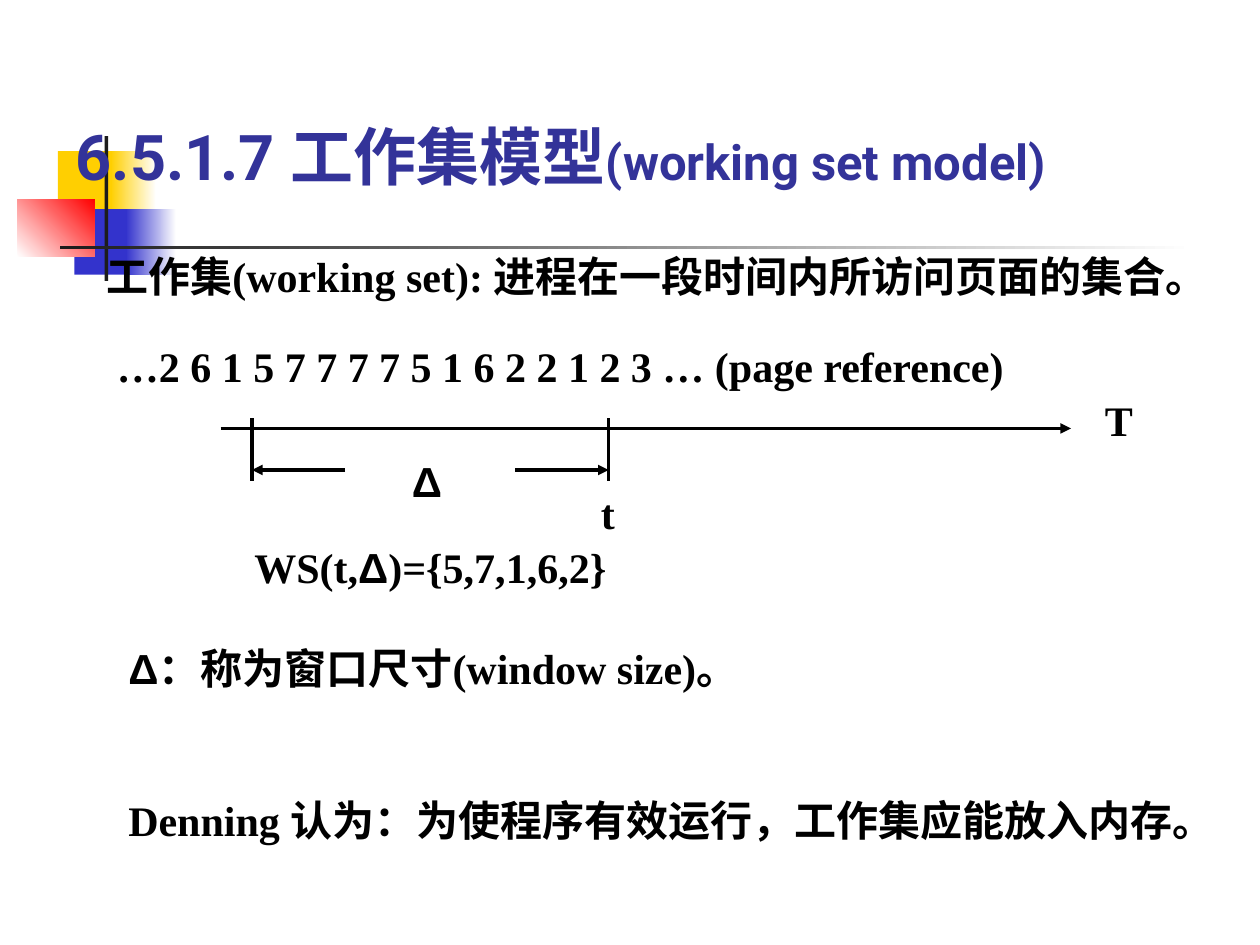
"""Build the slide on the working set model."""
from lxml.etree import SubElement
from pptx import Presentation
from pptx.dml.color import RGBColor
from pptx.enum.shapes import MSO_CONNECTOR, MSO_SHAPE
from pptx.enum.text import MSO_ANCHOR, MSO_AUTO_SIZE, PP_ALIGN
from pptx.oxml.ns import qn
from pptx.util import Inches, Pt

BLACK = RGBColor(0x00, 0x00, 0x00)
WHITE = RGBColor(0xFF, 0xFF, 0xFF)
NAVY = RGBColor(0x33, 0x33, 0x99)
BLUE = RGBColor(0x33, 0x33, 0xCC)
YELLOW = RGBColor(0xFF, 0xCF, 0x01)
RED = RGBColor(0xFF, 0x00, 0x00)
DARK = RGBColor(0x1C, 0x1C, 0x1C)

SERIF, SANS, HEAD = "Times New Roman", "Arial", "Roboto"

TITLE_BOX = (0.5, 0.33, 8.92, 1.25)
TITLE = [("6.5.1.7 工作集模型", HEAD, 36), ("(working set model)", HEAD, 28)]

DECOR = [
    ((0.46, 1.2, 0.48, 0.52), YELLOW, None),
    ((0.88, 1.2, 0.36, 0.52), YELLOW, 180),
    ((0.59, 1.66, 0.46, 0.52), BLUE, None),
    ((1, 1.66, 0.4, 0.52), BLUE, 180),
    ((0.14, 1.58, 0.61, 0.46), RED, 45),
    ((0.83, 1.08, 0.03, 1.15), DARK, None),
    ((0.48, 1.95, 9, 0.03), DARK, 180),
]

TEXTS = [
    ((0.67, 1.94, 8.83, 0.9),
     [[(" 工作集(working set): 进程在一段时间内所访问页面的集合。", SERIF, 24)]]),
    ((0.83, 2.65, 8.42, 0.5),
     [[("…2 6 1 5 7 7 7 7 5 1 6 2 2 1 2 3 … (page reference)", SERIF, 24)]]),
    ((8.67, 3.08, 0.58, 0.5), [[("T", SERIF, 24)]]),
    ((3.17, 3.57, 0.58, 0.5), [[("Δ", SANS, 24)]]),
    ((4.67, 3.82, 0.5, 0.5), [[("t", SERIF, 24)]]),
    ((1.92, 4.25, 3, 0.5),
     [[("WS(t,", SERIF, 24), ("Δ", SANS, 24), (")={5,7,1,6,2}", SERIF, 24)]]),
    ((0.92, 5.05, 8.73, 1.72),
     [[("Δ", SANS, 24), ("：称为窗口尺寸(window size)。", SERIF, 24)],
      [("Denning 认为：为使程序有效运行，工作集应能放入内存。", SERIF, 24)]]),
]
PARAGRAPH_GAP = 58

AXIS_Y, WINDOW_Y = 3.4, 3.73
TICK_TOP, TICK_BOTTOM = 3.32, 3.82
WINDOW_START, WINDOW_END, ARROW_LENGTH = 2, 4.83, 0.74
LINES = [
    (1.75, AXIS_Y, 8.5, AXIS_Y, 2, True),
    (WINDOW_START + ARROW_LENGTH, WINDOW_Y, WINDOW_START, WINDOW_Y, 2, True),
    (WINDOW_END - ARROW_LENGTH, WINDOW_Y, WINDOW_END, WINDOW_Y, 2, True),
] + [(x, TICK_TOP, x, TICK_BOTTOM, 1.75, False) for x in (WINDOW_START, WINDOW_END)]


def add_runs(p, runs, color):
    for text, font, size in runs:
        r = p.add_run()
        r.text = text
        r.font.name = font
        r.font.size = Pt(size)
        r.font.bold = True
        r.font.color.rgb = color


def add_block(s, box, color, angle):
    sp = s.shapes.add_shape(MSO_SHAPE.RECTANGLE, *map(Inches, box))
    sp.shadow.inherit = False
    sp.line.fill.background()
    if angle is None:
        sp.fill.solid()
        sp.fill.fore_color.rgb = color
    else:
        sp.fill.gradient()
        sp.fill.gradient_angle = angle
        for stop, rgb in zip(sp.fill.gradient_stops, (WHITE, color)):
            stop.color.rgb = rgb


def add_title(s):
    sp = s.shapes.title
    sp.left, sp.top, sp.width, sp.height = map(Inches, TITLE_BOX)
    tf = sp.text_frame
    tf.auto_size = MSO_AUTO_SIZE.NONE
    tf.vertical_anchor = MSO_ANCHOR.BOTTOM
    p = tf.paragraphs[0]
    p.alignment = PP_ALIGN.LEFT
    add_runs(p, TITLE, NAVY)
    s.shapes._spTree.append(sp._element)


def add_text(s, box, paragraphs):
    tf = s.shapes.add_textbox(*map(Inches, box)).text_frame
    tf.word_wrap = True
    for i, runs in enumerate(paragraphs):
        p = tf.add_paragraph() if i else tf.paragraphs[0]
        if i:
            p.space_before = Pt(PARAGRAPH_GAP)
        add_runs(p, runs, BLACK)


def add_line(s, x1, y1, x2, y2, width, arrow):
    ends = map(Inches, (x1, y1, x2, y2))
    line = s.shapes.add_connector(MSO_CONNECTOR.STRAIGHT, *ends)
    line.line.color.rgb = BLACK
    line.line.width = Pt(width)
    if arrow:
        SubElement(line.line._get_or_add_ln(), qn("a:tailEnd"), type="triangle")
    SubElement(line._element.spPr, qn("a:effectLst"))


def main():
    prs = Presentation()
    prs.slide_width, prs.slide_height = Inches(10), Inches(7.5)
    s = prs.slides.add_slide(prs.slide_layouts[5])
    for block in DECOR:
        add_block(s, *block)
    add_title(s)
    for line in LINES:
        add_line(s, *line)
    for box, paragraphs in TEXTS:
        add_text(s, box, paragraphs)
    prs.save("out.pptx")


if __name__ == "__main__":
    main()
